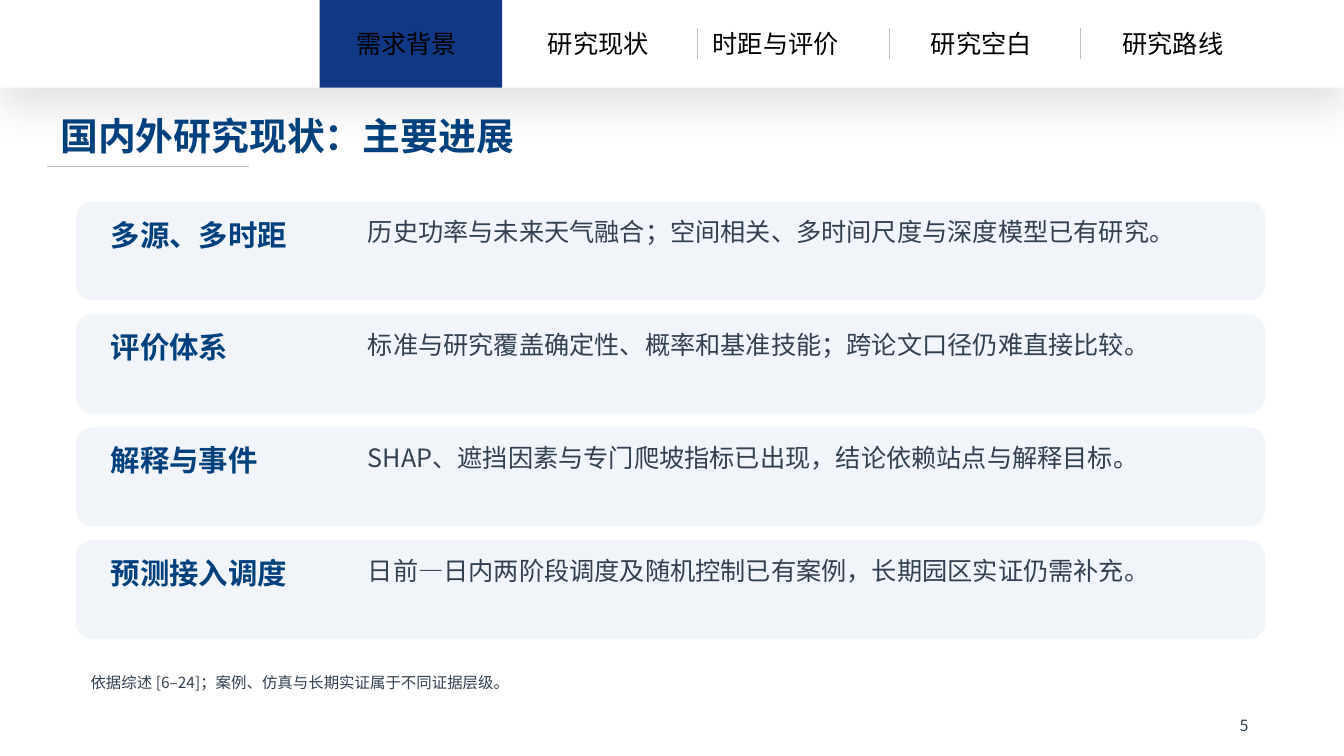
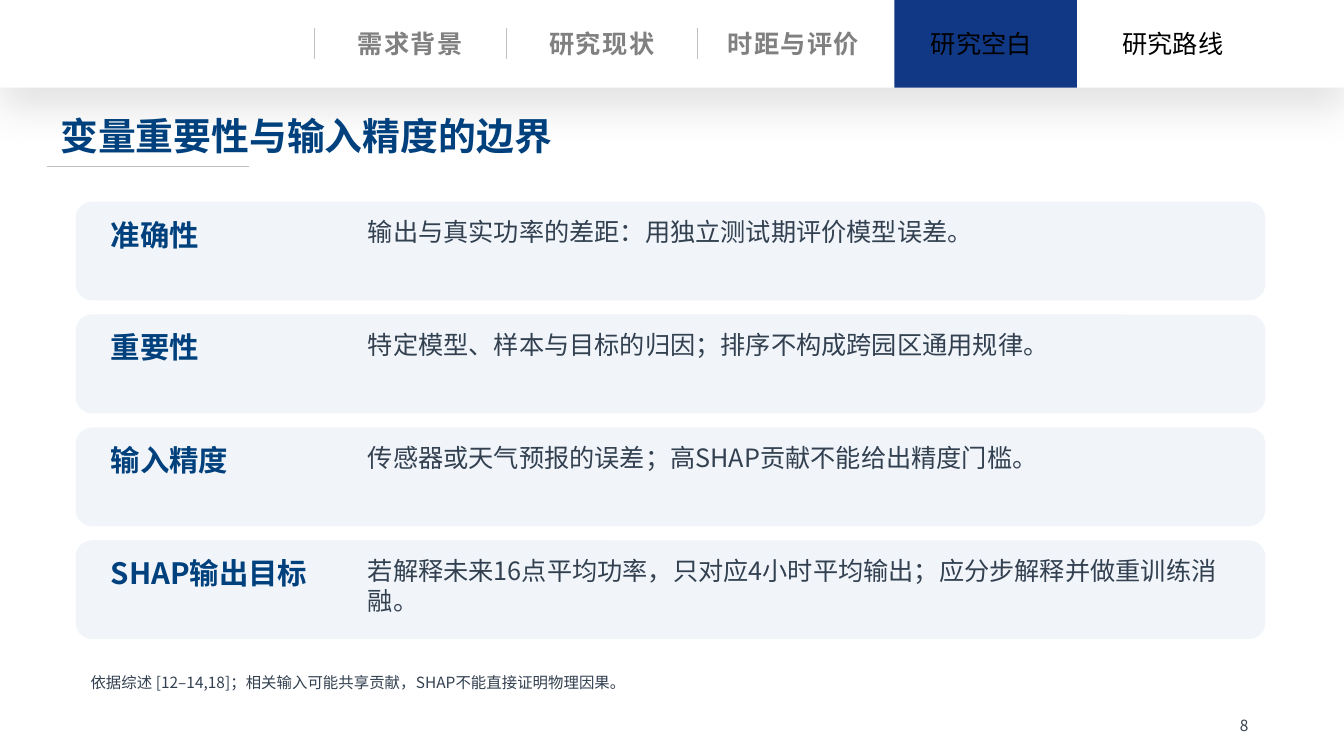
from dataclasses import dataclass
from typing import NamedTuple

from lxml import etree
from pptx import Presentation
from pptx.dml.color import RGBColor
from pptx.enum.shapes import MSO_CONNECTOR, MSO_SHAPE
from pptx.enum.text import MSO_AUTO_SIZE, PP_ALIGN
from pptx.oxml.ns import qn
from pptx.util import Inches, Pt

RECT = MSO_SHAPE.RECTANGLE
ROUND = MSO_SHAPE.ROUNDED_RECTANGLE
STRAIGHT = MSO_CONNECTOR.STRAIGHT
GROW = MSO_AUTO_SIZE.SHAPE_TO_FIT_TEXT
LEFT = PP_ALIGN.LEFT
CENTER = PP_ALIGN.CENTER


@dataclass(frozen=True)
class Theme:
    white: str = "FFFFFF"
    black: str = "000000"
    grey: str = "808080"
    rule: str = "BFBFBF"
    active: str = "113884"
    navy: str = "00417D"
    ink: str = "324050"
    card: str = "F1F5FA"
    cjk: str = "Noto Sans CJK SC"
    latin: str = "Arial"
    title: int = 27
    label: int = 21
    body: int = 18
    note: int = 11
    after: int = 10
    line: float = 0.5


THEME = Theme()


class Box(NamedTuple):
    x: float
    y: float
    w: float
    h: float


class Style(NamedTuple):
    size: int
    color: str
    bold: bool = False
    font: str = THEME.cjk
    align: PP_ALIGN = LEFT
    space: int = 0
    after: int = THEME.after
    wrap: bool = True


class Tab(NamedTuple):
    text: str
    width: float


class Card(NamedTuple):
    label: str
    body: str


class Page(NamedTuple):
    active: int
    title: str
    cards: list[Card]
    note: str
    number: int


TITLE = Style(THEME.title, THEME.navy, bold=True)
LABEL = Style(THEME.label, THEME.navy, bold=True)
BODY = Style(THEME.body, THEME.ink)
NOTE = Style(THEME.note, THEME.ink)
OPEN = Style(THEME.body, THEME.black, font=THEME.latin, after=0, wrap=False)
DONE = OPEN._replace(color=THEME.grey, bold=True, align=CENTER, space=100)

WIDTH, HEIGHT = 13.33, 7.5
BAND = 0.87
TAB_X, TAB_STEP = 3.12, 1.9
CARD_Y, CARD_STEP = 2, 1.12

TABS = [
    Tab("需求背景", 1.27),
    Tab("研究现状", 1.27),
    Tab("时距与评价", 1.8),
    Tab("研究空白", 1.27),
    Tab("研究路线", 1.27),
]

PAGES = [
    Page(
        0,
        "国内外研究现状：主要进展",
        [
            Card("多源、多时距", "历史功率与未来天气融合；空间相关、多时间尺度与深度模型已有研究。"),
            Card("评价体系", "标准与研究覆盖确定性、概率和基准技能；跨论文口径仍难直接比较。"),
            Card("解释与事件", "SHAP、遮挡因素与专门爬坡指标已出现，结论依赖站点与解释目标。"),
            Card("预测接入调度", "日前—日内两阶段调度及随机控制已有案例，长期园区实证仍需补充。"),
        ],
        "依据综述 [6–24]；案例、仿真与长期实证属于不同证据层级。",
        5,
    ),
    Page(
        3,
        "变量重要性与输入精度的边界",
        [
            Card("准确性", "输出与真实功率的差距：用独立测试期评价模型误差。"),
            Card("重要性", "特定模型、样本与目标的归因；排序不构成跨园区通用规律。"),
            Card("输入精度", "传感器或天气预报的误差；高SHAP贡献不能给出精度门槛。"),
            Card("SHAP输出目标", "若解释未来16点平均功率，只对应4小时平均输出；应分步解释并做重训练消融。"),
        ],
        "依据综述 [12–14,18]；相关输入可能共享贡献，SHAP不能直接证明物理因果。",
        8,
    ),
]


def add_block(slide, kind: MSO_SHAPE, box: Box, fill: str):
    shape = slide.shapes.add_shape(kind, *map(Inches, box))
    shape.shadow.inherit = False
    shape.fill.solid()
    shape.fill.fore_color.rgb = RGBColor.from_string(fill)
    shape.line.fill.background()
    return shape


def add_rule(slide, x: float, y: float, w: float, h: float) -> None:
    line = slide.shapes.add_connector(STRAIGHT, *map(Inches, (x, y, x + w, y + h)))
    line.line.color.rgb = RGBColor.from_string(THEME.rule)
    line.line.width = Pt(THEME.line)
    etree.SubElement(line._element.spPr, qn("a:effectLst"))


def add_text(slide, box: Box, text: str, style: Style) -> None:
    frame = slide.shapes.add_textbox(*map(Inches, box)).text_frame
    frame.word_wrap = style.wrap
    frame.auto_size = GROW
    para = frame.paragraphs[0]
    para.alignment = style.align
    para.space_after = Pt(style.after)
    run = para.add_run()
    run.text = text
    font = run.font
    font.size = Pt(style.size)
    font.bold = style.bold
    font.color.rgb = RGBColor.from_string(style.color)
    font.name = style.font
    props = run._r.get_or_add_rPr()
    etree.SubElement(props, qn("a:ea"), typeface=THEME.cjk)
    if style.space:
        props.set("spc", str(style.space))


def add_shade(shape) -> None:
    effects = shape._element.spPr.find(qn("a:effectLst"))
    shade = etree.SubElement(
        effects, qn("a:outerShdw"),
        blurRad=str(Pt(28)), dist=str(Pt(15)), dir="5400000",
        algn="t", rotWithShape="0",
    )
    color = etree.SubElement(shade, qn("a:srgbClr"), val=THEME.black)
    etree.SubElement(color, qn("a:alpha"), val="11000")


def add_tabs(slide, active: int) -> None:
    add_shade(add_block(slide, RECT, Box(0, 0, WIDTH, BAND), THEME.white))
    for i, tab in enumerate(TABS):
        x = TAB_X + i * TAB_STEP
        if i == active:
            add_block(slide, RECT, Box(x + 0.05, 0, 1.81, BAND), THEME.active)
        if i not in (active, active + 1):
            add_rule(slide, x, 0.28, 0, 0.31)
        left = x + (TAB_STEP - tab.width) / 2
        style = DONE if i < active else OPEN
        add_text(slide, Box(left, 0.23, tab.width, 0.4), tab.text, style)


def add_card(slide, y: float, card: Card) -> None:
    add_block(slide, ROUND, Box(0.75, y, 11.8, 0.98), THEME.card)
    add_text(slide, Box(1, y + 0.1, 2.4, 0.75), card.label, LABEL)
    add_text(slide, Box(3.55, y + 0.1, 8.65, 0.8), card.body, BODY)


def add_page(deck, page: Page) -> None:
    slide = deck.slides.add_slide(deck.slide_layouts[6])
    fill = slide.background.fill
    fill.solid()
    fill.fore_color.rgb = RGBColor.from_string(THEME.white)
    add_tabs(slide, page.active)
    add_rule(slide, 0.47, 1.65, 2, 0)
    add_block(slide, RECT, Box(0.3, 1.85, 12.7, 5.18), THEME.white)
    add_text(slide, Box(0.5, 1.07, 12.3, 0.58), page.title, TITLE)
    for i, card in enumerate(page.cards):
        add_card(slide, CARD_Y + i * CARD_STEP, card)
    add_text(slide, Box(0.8, 6.63, 11.7, 0.38), page.note, NOTE)
    add_text(slide, Box(12.2, 7.06, 0.5, 0.25), str(page.number), NOTE)


def main() -> None:
    deck = Presentation()
    deck.slide_width = Inches(WIDTH)
    deck.slide_height = Inches(HEIGHT)
    for page in PAGES:
        add_page(deck, page)
    deck.save("out.pptx")


if __name__ == "__main__":
    main()
